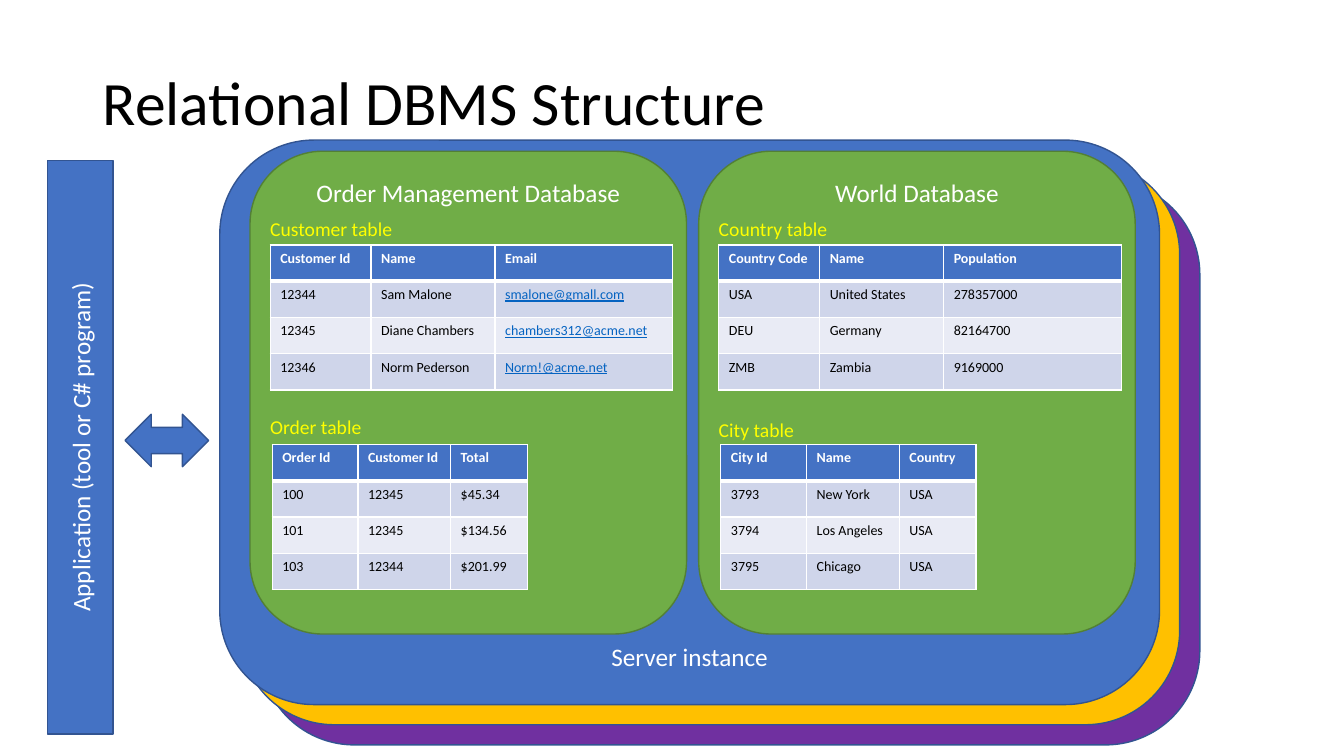
from lxml import etree
from pptx import Presentation
from pptx.dml.color import RGBColor
from pptx.enum import shapes, text
from pptx.oxml import ns
from pptx.util import Inches, Pt

BLUE = RGBColor(0x44, 0x72, 0xC4)
DARK_BLUE = RGBColor(0x32, 0x54, 0x91)
GREEN = RGBColor(0x70, 0xAD, 0x47)
DARK_GREEN = RGBColor(0x53, 0x80, 0x35)
PURPLE = RGBColor(0x70, 0x30, 0xA0)
GOLD = RGBColor(0xFF, 0xC0, 0x00)
YELLOW = RGBColor(0xFF, 0xFF, 0x00)
WHITE = RGBColor(0xFF, 0xFF, 0xFF)
BLACK = RGBColor(0, 0, 0)
LINK = RGBColor(0x05, 0x63, 0xC1)
BANDS = (RGBColor(0xCF, 0xD5, 0xEA), RGBColor(0xE9, 0xEB, 0xF5))
FONT = "Calibri"

TITLE = "Relational DBMS Structure"
APPLICATION = "Application (tool or C# program)"
# Stacked server instances, back to front; only the front label shows
SERVERS = [(PURPLE, ""), (GOLD, ""), (BLUE, "Server instance")]
# Each database: name, then its upper and lower table as
# (caption, caption top, rows)
DATABASES = [
    ("Order Management Database", [
        ("Customer table", 2.1, [
            ("Customer Id", "Name", "Email"),
            ("12344", "Sam Malone", "smalone@gmall.com"),
            ("12345", "Diane Chambers", "chambers312@acme.net"),
            ("12346", "Norm Pederson", "Norm!@acme.net")]),
        ("Order table", 4.07, [
            ("Order Id", "Customer Id", "Total"),
            ("100", "12345", "$45.34"),
            ("101", "12345", "$134.56"),
            ("103", "12344", "$201.99")])]),
    ("World Database", [
        ("Country table", 2.1, [
            ("Country Code", "Name", "Population"),
            ("USA", "United States", "278357000"),
            ("DEU", "Germany", "82164700"),
            ("ZMB", "Zambia", "9169000")]),
        ("City table", 4.1, [
            ("City Id", "Name", "Country"),
            ("3793", "New York", "USA"),
            ("3794", "Los Angeles", "USA"),
            ("3795", "Chicago", "USA")])]),
]
# Upper and lower table slot: offset from database left, top, column widths
SLOTS = [(0.2, 2.43, (1, 1.23, 1.76)), (0.22, 4.41, (0.85, 0.92, 0.76))]
ROW_HEIGHT = 0.36
DB_LEFT, DB_STEP = 2.48, 4.45
SERVER_LEFT, SERVER_TOP, SERVER_STEP = 2.18, 1.39, 0.2


def write(tf, words, size, color, align=text.PP_ALIGN.LEFT, bold=False):
    """Put one formatted paragraph in a text frame and return it."""
    tf.text = words
    p = tf.paragraphs[0]
    p.alignment = align
    for r in p.runs:
        r.font.name, r.font.size, r.font.bold = FONT, Pt(size), bold
        r.font.color.rgb = color
    return p


def add_box(slide, kind, box, fill, line, words="",
            anchor=text.MSO_ANCHOR.MIDDLE):
    """Add an outlined preset shape with centred white text."""
    sp = slide.shapes.add_shape(kind, *map(Inches, box))
    sp.shadow.inherit = False
    sp.fill.solid()
    sp.fill.fore_color.rgb = fill
    sp.line.color.rgb = line
    sp.line.width = Pt(1)
    sp.text_frame.vertical_anchor = anchor
    if words:
        write(sp.text_frame, words, 18, WHITE, text.PP_ALIGN.CENTER)
    return sp


def set_borders(cell, row):
    """Draw white cell borders, heavier below the header row."""
    heavy = {0: "lnB", 1: "lnT"}.get(row)
    props = cell._tc.get_or_add_tcPr()
    for side in ("lnL", "lnR", "lnT", "lnB"):
        width = Pt(3 if side == heavy else 1)
        ln = etree.SubElement(props, ns.qn("a:" + side), w=str(int(width)))
        fill = etree.SubElement(ln, ns.qn("a:solidFill"))
        etree.SubElement(fill, ns.qn("a:srgbClr"), val=str(WHITE))


def add_data_table(slide, left, top, widths, rows):
    """Add a banded table with a blue header row."""
    frame = slide.shapes.add_table(
        len(rows), len(widths), Inches(left), Inches(top),
        Inches(sum(widths)), Inches(ROW_HEIGHT * len(rows)))
    table = frame.table
    for column, width in zip(table.columns, widths):
        column.width = Inches(width)
    for i, row in enumerate(rows):
        table.rows[i].height = Inches(ROW_HEIGHT)
        for j, words in enumerate(row):
            cell = table.cell(i, j)
            set_borders(cell, i)
            cell.fill.solid()
            cell.fill.fore_color.rgb = BANDS[(i - 1) % 2] if i else BLUE
            is_email = "@" in words
            color = LINK if is_email else BLACK if i else WHITE
            p = write(cell.text_frame, words, 10, color, bold=i == 0)
            p.runs[0].font.underline = is_email


def add_caption(slide, left, top, words):
    """Add the yellow name above a table."""
    sp = slide.shapes.add_textbox(*map(Inches, (left, top, 1.55, 0.34)))
    sp.text_frame.word_wrap = True
    write(sp.text_frame, words, 14, YELLOW)


def add_database(slide, left, name, tables):
    """Add a green database panel with its captioned tables."""
    add_box(slide, shapes.MSO_SHAPE.ROUNDED_RECTANGLE, (left, 1.5, 4.33, 4.79),
            GREEN, DARK_GREEN, name, text.MSO_ANCHOR.TOP)
    for (caption, caption_top, rows), (dx, top, widths) in zip(tables, SLOTS):
        add_data_table(slide, left + dx, top, widths, rows)
        add_caption(slide, left + 0.1, caption_top, caption)


prs = Presentation()
prs.slide_width, prs.slide_height = Inches(13.33), Inches(7.5)
slide = prs.slides.add_slide(prs.slide_layouts[5])

title = slide.shapes.title
title.left, title.top, title.width, title.height = map(
    Inches, (0.92, 0.32, 11.5, 1.45))
title.text_frame.vertical_anchor = text.MSO_ANCHOR.MIDDLE
write(title.text_frame, TITLE, 44, BLACK).line_spacing = 0.9

for i, (color, label) in enumerate(SERVERS):
    shift = SERVER_STEP * (len(SERVERS) - 1 - i)
    add_box(slide, shapes.MSO_SHAPE.ROUNDED_RECTANGLE,
            (SERVER_LEFT + shift, SERVER_TOP + shift, 9.32, 5.6),
            color, DARK_BLUE, label, text.MSO_ANCHOR.BOTTOM)

application = add_box(slide, shapes.MSO_SHAPE.RECTANGLE,
                      (0.47, 1.59, 0.65, 5.69), BLUE, DARK_BLUE, APPLICATION)
application.text_frame._txBody.bodyPr.set("vert", "vert270")
add_box(slide, shapes.MSO_SHAPE.LEFT_RIGHT_ARROW, (1.24, 4.11, 0.83, 0.52),
        BLUE, DARK_BLUE)

for i, (name, tables) in enumerate(DATABASES):
    add_database(slide, DB_LEFT + i * DB_STEP, name, tables)

prs.save("out.pptx")
